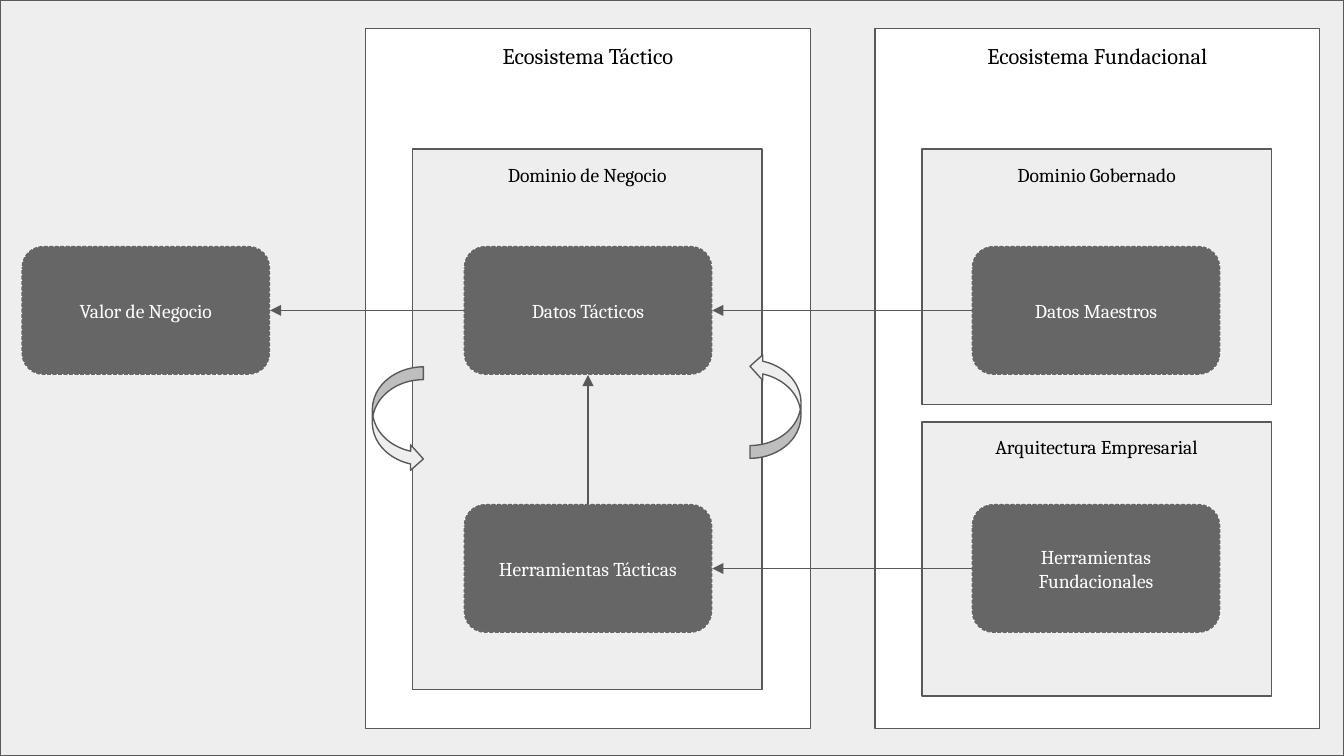
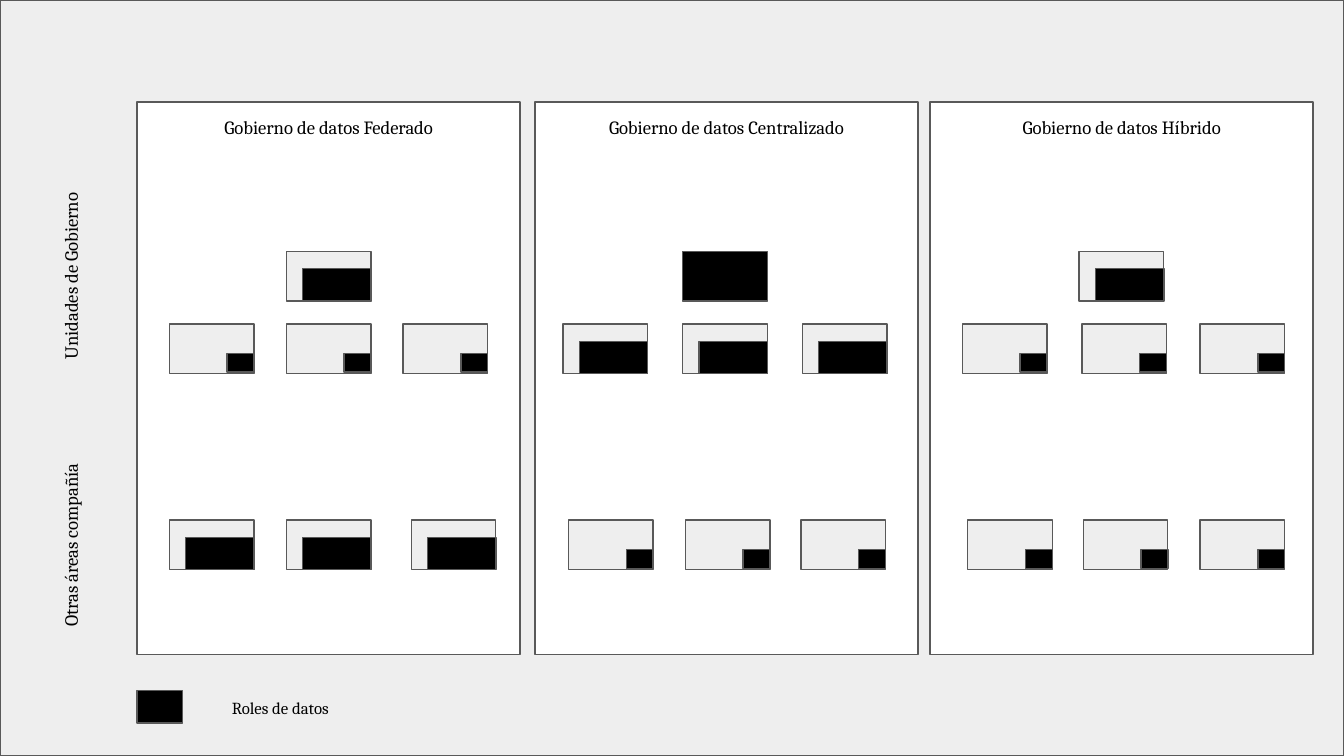
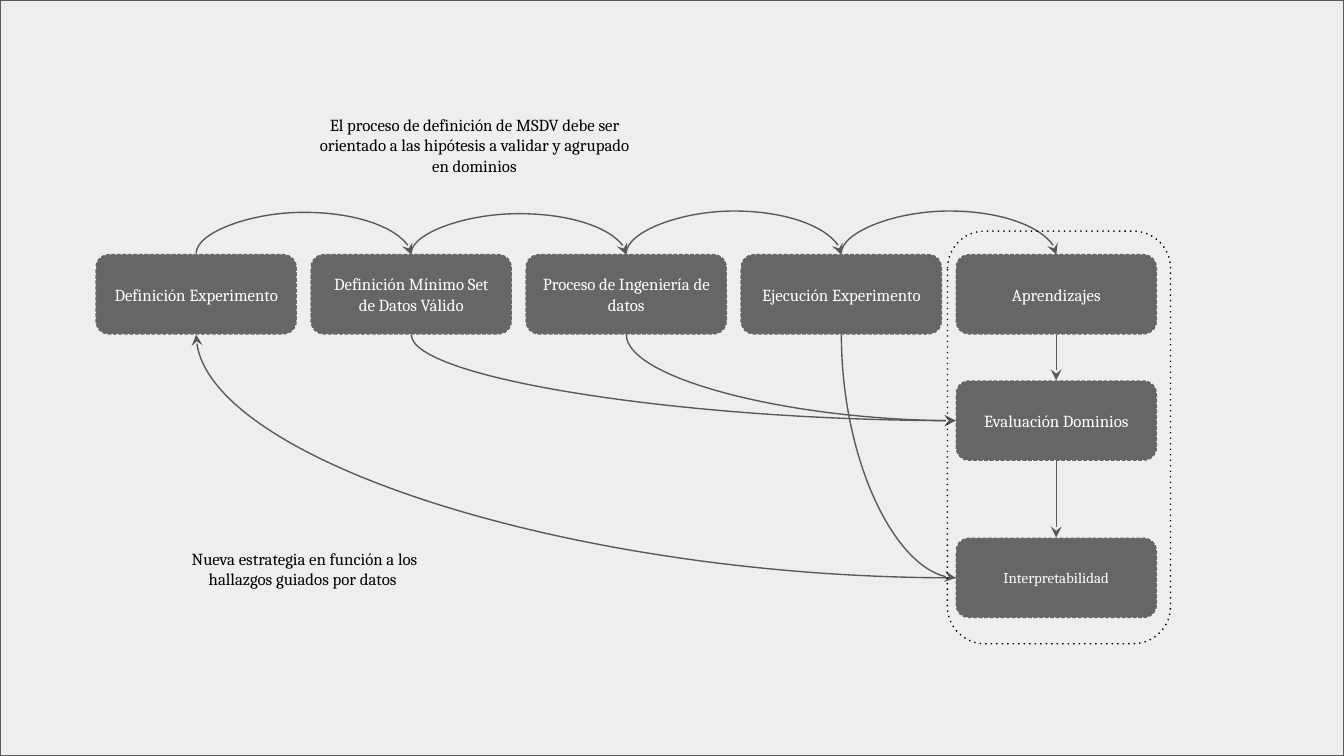
from lxml import etree
from pptx import Presentation
from pptx.dml.color import RGBColor
from pptx.enum.shapes import MSO_CONNECTOR, MSO_SHAPE
from pptx.enum.text import MSO_ANCHOR, PP_ALIGN
from pptx.oxml.ns import qn
from pptx.util import Inches, Pt

RECT = MSO_SHAPE.RECTANGLE
ROUNDED = MSO_SHAPE.ROUNDED_RECTANGLE
CURVED_ARROW = MSO_SHAPE.CURVED_RIGHT_ARROW
STRAIGHT, CURVE = MSO_CONNECTOR.STRAIGHT, MSO_CONNECTOR.CURVE
ANCHOR_TOP, ANCHOR_MIDDLE = MSO_ANCHOR.TOP, MSO_ANCHOR.MIDDLE
CENTER = PP_ALIGN.CENTER
TOP, LEFT, BOTTOM, RIGHT = range(4)

WHITE = RGBColor(0xFF, 0xFF, 0xFF)
BLACK = RGBColor(0x00, 0x00, 0x00)
PALE = RGBColor(0xEE, 0xEE, 0xEE)
DARK = RGBColor(0x66, 0x66, 0x66)
OUTLINE = RGBColor(0x59, 0x59, 0x59)

FONT = "Cambria"
LINE_WIDTH = Pt(0.75)
SLIDE_W = 10
SLIDE_H = SLIDE_W * 9 / 16

UNIT = (0.63, 0.37)
# offset from the unit's corner, then width and height
FULL_ROLE = (0, 0, *UNIT)
LARGE_ROLE = (0.12, 0.13, 0.51, 0.24)
SMALL_ROLE = (0.43, 0.22, 0.2, 0.14)
HEAD_TOP, UNITS_TOP, AREAS_TOP = 1.87, 2.41, 3.87

# title, panel left, then (lefts, top, role) for each row of units
GOVERNANCE_MODELS = [
    ("Gobierno de datos Federado", 1.02, [
        ([2.13], HEAD_TOP, LARGE_ROLE),
        ([1.26, 2.13, 3.0], UNITS_TOP, SMALL_ROLE),
        ([1.26, 2.13, 3.06], AREAS_TOP, LARGE_ROLE)]),
    ("Gobierno de datos Centralizado", 3.98, [
        ([5.08], HEAD_TOP, FULL_ROLE),
        ([4.19, 5.08, 5.97], UNITS_TOP, LARGE_ROLE),
        ([4.23, 5.1, 5.96], AREAS_TOP, SMALL_ROLE)]),
    ("Gobierno de datos Híbrido", 6.92, [
        ([8.03], HEAD_TOP, LARGE_ROLE),
        ([7.16, 8.05, 8.93], UNITS_TOP, SMALL_ROLE),
        ([7.2, 8.06, 8.93], AREAS_TOP, SMALL_ROLE)]),
]

EXPERIMENT_STEPS = [
    "Definición Experimento",
    "Definición Mínimo Set de Datos Válido",
    "Proceso de Ingeniería de datos",
    "Ejecución Experimento",
    "Aprendizajes",
]
ARC_RISES = [0.31, 0.3, 0.32, 0.32]


def add_line_part(line, tag, **attributes):
    """Append a dash or an arrowhead to a line that already has its colour."""
    etree.SubElement(line._get_or_add_ln(), qn(tag), attributes)


def write(shape, text, size, color, anchor):
    frame = shape.text_frame
    settings = {"word_wrap": True, "vertical_anchor": anchor}
    for side in ("left", "top", "right", "bottom"):
        settings["margin_" + side] = Inches(0.1)
    for name, value in settings.items():
        setattr(frame, name, value)
    paragraph = frame.paragraphs[0]
    paragraph.alignment = CENTER
    run = paragraph.add_run()
    run.text = text
    for name, value in {"name": FONT, "size": Pt(size)}.items():
        setattr(run.font, name, value)
    run.font.color.rgb = color


def add_box(slide, box, fill=PALE, line=OUTLINE, preset=RECT, dotted=False):
    shape = slide.shapes.add_shape(preset, *map(Inches, box))
    shape.shadow.inherit = False
    if fill is None:
        shape.fill.background()
    else:
        shape.fill.solid()
        shape.fill.fore_color.rgb = fill
    shape.line.color.rgb = line
    shape.line.width = LINE_WIDTH
    if dotted:
        add_line_part(shape.line, "a:prstDash", val="dot")
    return shape


def add_panel(slide, box, title, size, fill=PALE):
    write(add_box(slide, box, fill), title, size, BLACK, ANCHOR_TOP)


def add_node(slide, box, text, size):
    node = add_box(slide, box, DARK, WHITE, ROUNDED, dotted=True)
    write(node, text, size, WHITE, ANCHOR_MIDDLE)
    return node


def add_label(slide, box, text, size, rotation=0):
    label = slide.shapes.add_textbox(*map(Inches, box))
    label.rotation = rotation
    write(label, text, size, BLACK, ANCHOR_MIDDLE)


def add_arrow(slide, start, start_side, end, end_side, kind=STRAIGHT, head="triangle"):
    arrow = slide.shapes.add_connector(kind, 0, 0, 0, 0)
    arrow.begin_connect(start, start_side)
    arrow.end_connect(end, end_side)
    arrow.line.color.rgb = OUTLINE
    arrow.line.width = LINE_WIDTH
    add_line_part(arrow.line, "a:tailEnd", type=head)
    etree.SubElement(arrow._element.spPr, qn("a:effectLst"))
    return arrow


def add_curve(slide, start, start_side, end, end_side, rise=None):
    """Curved arrow; rise is the height of an arc between two top sides."""
    curve = add_arrow(slide, start, start_side, end, end_side, CURVE, "stealth")
    properties = curve._element.spPr
    geometry = properties.find(qn("a:prstGeom"))
    if LEFT in (start_side, end_side):
        geometry.set("prst", "curvedConnector2")
    if start_side != LEFT:
        turn_upright(curve, properties.find(qn("a:xfrm")))
    if rise is not None:
        ratio = -round(Inches(rise) / curve.width * 100000)
        guides = geometry.find(qn("a:avLst"))
        etree.SubElement(guides, qn("a:gd"), name="adj1", fmla=f"val {ratio}")


def turn_upright(curve, transform):
    """Turn the connector's frame so that the curve leaves its start vertically."""
    middle_x = (curve.begin_x + curve.end_x) // 2
    middle_y = (curve.begin_y + curve.end_y) // 2
    run = curve.end_x - curve.begin_x
    drop = max(curve.end_y - curve.begin_y, Inches(0.01))
    curve.left, curve.top = middle_x - drop // 2, middle_y - run // 2
    curve.width, curve.height = drop, run
    for name, value in {"rot": "16200000", "flipH": "1", "flipV": "0"}.items():
        transform.set(name, value)


def add_slide(deck):
    slide = deck.slides.add_slide(deck.slide_layouts[6])
    add_box(slide, (0, 0, SLIDE_W, SLIDE_H))
    return slide


def build_ecosystems(deck):
    slide = add_slide(deck)
    for left, title in ((6.51, "Ecosistema Fundacional"), (2.72, "Ecosistema Táctico")):
        add_panel(slide, (left, 0.21, 3.31, 5.21), title, 12, WHITE)
    for left, top, height, title in (
        (3.07, 1.11, 4.02, "Dominio de Negocio"),
        (6.86, 1.11, 1.9, "Dominio Gobernado"),
        (6.86, 3.14, 2.04, "Arquitectura Empresarial"),
    ):
        add_panel(slide, (left, top, 2.6, height), title, 10.5)

    master_data, tactical_data, tactical_tools, base_tools, value = [
        add_node(slide, (left, top, 1.85, 0.96), text, 10.5)
        for left, top, text in (
            (7.23, 1.83, "Datos Maestros"),
            (3.45, 1.83, "Datos Tácticos"),
            (3.45, 3.75, "Herramientas Tácticas"),
            (7.23, 3.75, "Herramientas Fundacionales"),
            (0.16, 1.83, "Valor de Negocio"),
        )
    ]
    for left, top, rotation in ((2.77, 2.73, 0), (5.58, 2.63, 180)):
        cycle = add_box(slide, (left, top, 0.38, 0.78), preset=CURVED_ARROW)
        cycle.rotation = rotation
    add_arrow(slide, base_tools, LEFT, tactical_tools, RIGHT)
    add_arrow(slide, tactical_tools, TOP, tactical_data, BOTTOM)
    add_arrow(slide, master_data, LEFT, tactical_data, RIGHT)
    add_arrow(slide, tactical_data, LEFT, value, RIGHT)


def add_unit(slide, left, top, role):
    """Unit box with its data roles in the bottom right corner."""
    if role != FULL_ROLE:
        add_box(slide, (left, top, *UNIT))
    across, down, width, height = role
    add_box(slide, (left + across, top + down, width, height), BLACK)


def build_governance(deck):
    slide = add_slide(deck)
    for title, panel_left, rows in GOVERNANCE_MODELS:
        add_panel(slide, (panel_left, 0.76, 2.85, 4.11), title, 10, WHITE)
        for lefts, top, role in rows:
            for left in lefts:
                add_unit(slide, left, top, role)
    for top, text in ((1.68, "Unidades de Gobierno"), (3.68, "Otras áreas compañía")):
        add_label(slide, (-0.31, top, 1.67, 0.75), text, 10, 270)
    add_box(slide, (1.02, 5.14, 0.34, 0.24), BLACK)
    add_label(slide, (1.26, 5.08, 1.65, 0.37), "Roles de datos", 9)


def build_experiment(deck):
    slide = add_slide(deck)
    steps = [
        add_node(slide, (0.71 + 1.6 * i, 1.89, 1.5, 0.6), text, 9)
        for i, text in enumerate(EXPERIMENT_STEPS)
    ]
    definition, dataset, engineering, execution, learnings = steps
    evaluation = add_node(slide, (7.11, 2.83, 1.5, 0.6), "Evaluación Dominios", 9)
    interpretation = add_node(slide, (7.11, 4, 1.5, 0.6), "Interpretabilidad", 8)

    for step, following, rise in zip(steps, steps[1:], ARC_RISES):
        add_curve(slide, step, TOP, following, TOP, rise)
    add_curve(slide, dataset, BOTTOM, evaluation, LEFT)
    add_curve(slide, learnings, BOTTOM, evaluation, TOP)
    add_curve(slide, engineering, BOTTOM, evaluation, LEFT)
    add_curve(slide, execution, BOTTOM, interpretation, LEFT)
    add_curve(slide, evaluation, BOTTOM, interpretation, TOP)
    add_curve(slide, interpretation, LEFT, definition, BOTTOM)

    add_label(slide, (1.28, 3.73, 1.97, 1),
              "Nueva estrategia en función a los hallazgos guiados por datos ", 9)
    add_label(slide, (2.21, 0.58, 2.64, 1),
              "El proceso de definición de MSDV debe ser orientado a las hipótesis "
              "a validar y agrupado en dominios", 9)
    add_box(slide, (7.05, 1.72, 1.66, 3.07), None, BLACK, ROUNDED, dotted=True)


def main():
    deck = Presentation()
    deck.slide_width, deck.slide_height = Inches(SLIDE_W), Inches(SLIDE_H)
    build_ecosystems(deck)
    build_governance(deck)
    build_experiment(deck)
    deck.save("out.pptx")


if __name__ == "__main__":
    main()
